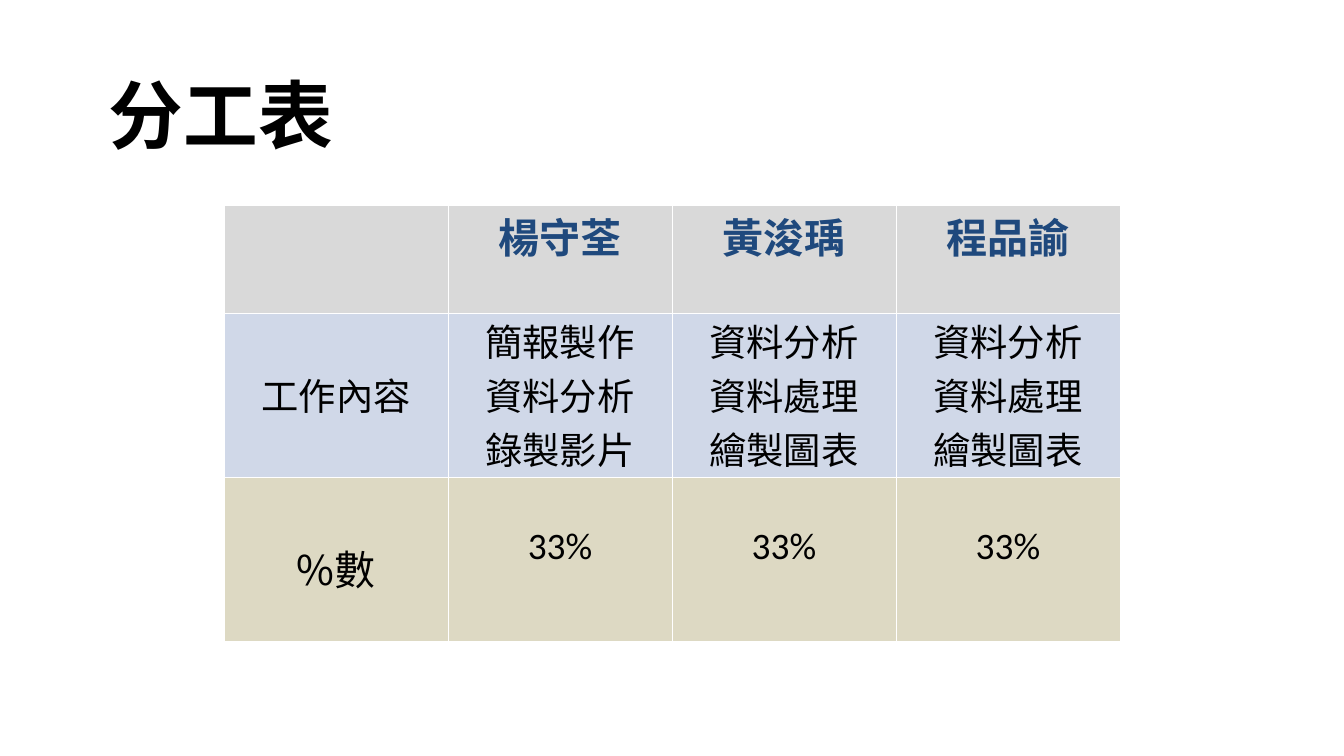
from lxml import etree
from pptx import Presentation
from pptx import util as u
from pptx.dml.color import RGBColor
from pptx.enum import text
from pptx.oxml import ns

CJK_FONT = "Noto Sans CJK SC"


def set_font(paragraph, size, color="000000", bold=False, name=CJK_FONT):
    font = paragraph.font
    font.size, font.bold, font.name = u.Pt(size), bold, name
    font.color.rgb = RGBColor.from_string(color)
    properties = paragraph._p.pPr.find(ns.qn("a:defRPr"))
    etree.SubElement(properties, ns.qn("a:ea"), typeface=CJK_FONT)


presentation = Presentation()
presentation.slide_width = u.Inches(20)
presentation.slide_height = u.Inches(11.25)
slide = presentation.slides.add_slide(presentation.slide_layouts[5])

# Title
title = slide.shapes.title
title.left, title.top = u.Inches(1.62), u.Inches(1.17)
title.width, title.height = u.Inches(13.85), u.Inches(1.21)
frame = title.text_frame
frame.text = "分工表"
frame.margin_left = frame.margin_top = frame.margin_right = frame.margin_bottom = 0
frame.vertical_anchor = text.MSO_ANCHOR.MIDDLE
frame.auto_size = text.MSO_AUTO_SIZE.NONE
paragraph = frame.paragraphs[0]
paragraph.alignment = text.PP_ALIGN.LEFT
paragraph.line_spacing = 0.9
paragraph.space_after = u.Pt(6)
set_font(paragraph, 80, bold=True)

# Work table: centred, two thirds of the slide wide
analysis = "資料分析\n資料處理\n繪製圖表"
rows = [
    ["", "楊守荃", "黃浚瑀", "程品諭"],
    ["工作內容", "簡報製作\n資料分析\n錄製影片", analysis, analysis],
    ["%數", "33%", "33%", "33%"],
]
row_heights = [1.6, 2.44, 2.44]
row_fills = ["D9D9D9", "D0D8E8", "DDD9C3"]
label_drops = [0, 0.8, 0.9]   # space above the first column's text
value_drops = [0, 0, 0.7]     # space above the other columns' text

width = presentation.slide_width * 2 // 3
table = slide.shapes.add_table(
    len(rows), len(rows[0]), presentation.slide_width // 6, u.Inches(3.06),
    width, u.Inches(sum(row_heights))).table

for r, values in enumerate(rows):
    table.rows[r].height = u.Inches(row_heights[r])
    for c, value in enumerate(values):
        cell = table.cell(r, c)
        cell.fill.solid()
        cell.fill.fore_color.rgb = RGBColor.from_string(row_fills[r])
        cell.margin_top = u.Inches((value_drops if c else label_drops)[r])
        cell.margin_bottom = 0
        cell.text = value
        for paragraph in cell.text_frame.paragraphs:
            paragraph.alignment = text.PP_ALIGN.CENTER
            if r == 0:
                set_font(paragraph, 44, "1F497D", bold=True)
            elif value == "%數":
                set_font(paragraph, 44)
            else:
                set_font(paragraph, 40, name="Calibri" if r == 2 else CJK_FONT)

presentation.save("out.pptx")
